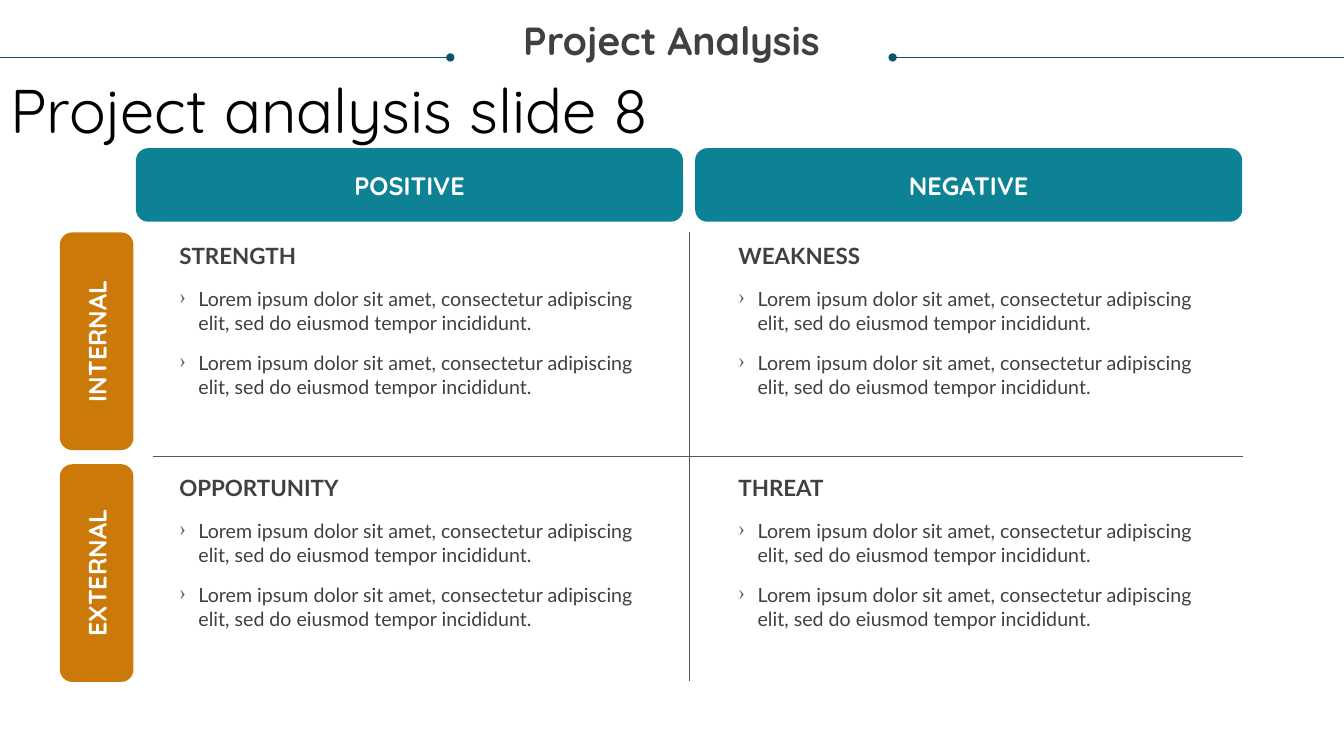
from dataclasses import dataclass

from lxml import etree
from pptx import Presentation
from pptx import util as u
from pptx.dml.color import RGBColor
from pptx.enum import shapes, text
from pptx.oxml import ns

WIDE, HIGH = 13.34, 7.5
COL, ROW = 5.55, 2.3  # pitch of the matrix
LEFT, TOP = 1.35, 2.3  # corner of the first cell
TEAL, DARK, GOLD = "0D8295", "095763", "CB7A09"
INK, GRAY, WHITE, BLACK = "404040", "585858", "FFFFFF", "000000"
HEAD, BODY = "Quicksand", "Lato"
ALIGN, ANCHOR = text.PP_ALIGN, text.MSO_ANCHOR
LOREM = ("Lorem ipsum dolor sit amet, consectetur adipiscing elit, "
         "sed do eiusmod tempor incididunt.")


@dataclass
class Box:
    left: float
    top: float
    width: float
    height: float

    def shift(self, col: int, row: int) -> "Box":
        """Move the box by whole columns and rows of the matrix."""
        return Box(self.left + col * COL, self.top + row * ROW,
                   self.width, self.height)

    def size(self) -> list:
        return [u.Inches(n) for n in
                (self.left, self.top, self.width, self.height)]


@dataclass
class Tab:
    label: str
    box: Box
    fill: str
    turn: int = 0


@dataclass
class Rule:
    start: tuple
    end: tuple
    color: str
    dot: str = ""


@dataclass
class Cell:
    label: str
    col: int
    row: int


def paint(color: str) -> RGBColor:
    return RGBColor.from_string(color)


def add_node(parent, tag: str, **attrs):
    return etree.SubElement(parent, ns.qn(tag), **attrs)


def add_bullet(para) -> None:
    props = para._p.get_or_add_pPr()
    props.set("marL", str(u.Inches(0.19)))
    props.set("indent", str(u.Inches(-0.19)))
    add_node(add_node(props, "a:buClr"), "a:srgbClr", val=GRAY)
    add_node(props, "a:buChar", char="›")


def write(frame, *lines: str, font: str = BODY, size: float = 14,
          color: str = INK, bold: bool = False, align=ALIGN.LEFT,
          anchor=ANCHOR.TOP, inset: tuple = (0, 0), space: float = 0,
          lead: float = 1, bullet: bool = False) -> None:
    frame.word_wrap = True
    frame.vertical_anchor = anchor
    frame.margin_left = frame.margin_right = u.Inches(inset[0])
    frame.margin_top = frame.margin_bottom = u.Inches(inset[1])
    for i, line in enumerate(lines):
        para = frame.add_paragraph() if i else frame.paragraphs[0]
        if bullet:
            add_bullet(para)
        para.alignment = align
        para.line_spacing = lead
        para.space_before = u.Pt(space if i else 0)
        run = para.add_run()
        run.text = line
        run.font.name, run.font.size = font, u.Pt(size)
        run.font.bold = bold
        run.font.color.rgb = paint(color)


def add_text(slide, box: Box, *lines: str, **style) -> None:
    write(slide.shapes.add_textbox(*box.size()).text_frame, *lines, **style)


def add_tab(slide, tab: Tab) -> None:
    kind = shapes.MSO_SHAPE.ROUNDED_RECTANGLE
    shape = slide.shapes.add_shape(kind, *tab.box.size())
    shape.shadow.inherit = False
    shape.rotation = tab.turn
    shape.fill.solid()
    shape.fill.fore_color.rgb = paint(tab.fill)
    shape.line.fill.background()
    write(shape.text_frame, tab.label, font=HEAD, size=18, color=WHITE,
          bold=True, align=ALIGN.CENTER, anchor=ANCHOR.MIDDLE,
          inset=(0.1, 0.05))


def add_rule(slide, rule: Rule) -> None:
    ends = [u.Inches(n) for n in rule.start + rule.end]
    line = slide.shapes.add_connector(shapes.MSO_CONNECTOR.STRAIGHT, *ends)
    line.line.color.rgb = paint(rule.color)
    line.line.width = u.Pt(0.5)
    if rule.dot:
        add_node(line.line._get_or_add_ln(), rule.dot, type="oval")
    add_node(line._element.spPr, "a:effectLst")


def add_title(slide, label: str) -> None:
    title = slide.shapes.title
    box = Box(0, 0.4, 11.5, 1.45)
    title.left, title.top, title.width, title.height = box.size()
    write(title.text_frame, label, font=HEAD, size=44, color=BLACK,
          anchor=ANCHOR.MIDDLE, inset=(0.1, 0.05), lead=0.9)


def main() -> None:
    deck = Presentation()
    deck.slide_width, deck.slide_height = u.Inches(WIDE), u.Inches(HIGH)
    slide = deck.slides.add_slide(deck.slide_layouts[5])

    # Titles
    add_title(slide, "Project analysis slide 8")
    add_text(slide, Box(0.25, 0.21, 12.83, 0.72), "Project Analysis",
             font=HEAD, size=28, bold=True, align=ALIGN.CENTER, lead=0.9)

    # Heading rules and matrix axes
    for rule in (
        Rule((8.86, 0.57), (WIDE, 0.57), DARK, "a:headEnd"),
        Rule((0, 0.57), (4.47, 0.57), DARK, "a:tailEnd"),
        Rule((1.52, 4.53), (12.34, 4.53), GRAY),
        Rule((6.84, TOP), (6.84, 6.76), GRAY),
    ):
        add_rule(slide, rule)

    # Column and row tabs
    top = Box(LEFT, 1.47, 5.43, 0.73)
    side = Box(-0.12, 3.02, 2.16, 0.73)
    for i, label in enumerate(("POSITIVE", "NEGATIVE")):
        add_tab(slide, Tab(label, top.shift(i, 0), TEAL))
    for i, label in enumerate(("INTERNAL", "EXTERNAL")):
        add_tab(slide, Tab(label, side.shift(0, i), GOLD, 270))

    # Matrix cells
    head = Box(LEFT + 0.43, TOP + 0.1, 4.55, 0.27)
    body = Box(LEFT + 0.43, TOP + 0.55, 4.55, 1.57)
    for cell in (Cell("STRENGTH", 0, 0), Cell("WEAKNESS", 1, 0),
                 Cell("OPPORTUNITY", 0, 1), Cell("THREAT", 1, 1)):
        add_text(slide, head.shift(cell.col, cell.row), cell.label,
                 size=16, bold=True)
        add_text(slide, body.shift(cell.col, cell.row), LOREM, LOREM,
                 space=12, bullet=True)

    deck.save("out.pptx")


if __name__ == "__main__":
    main()
